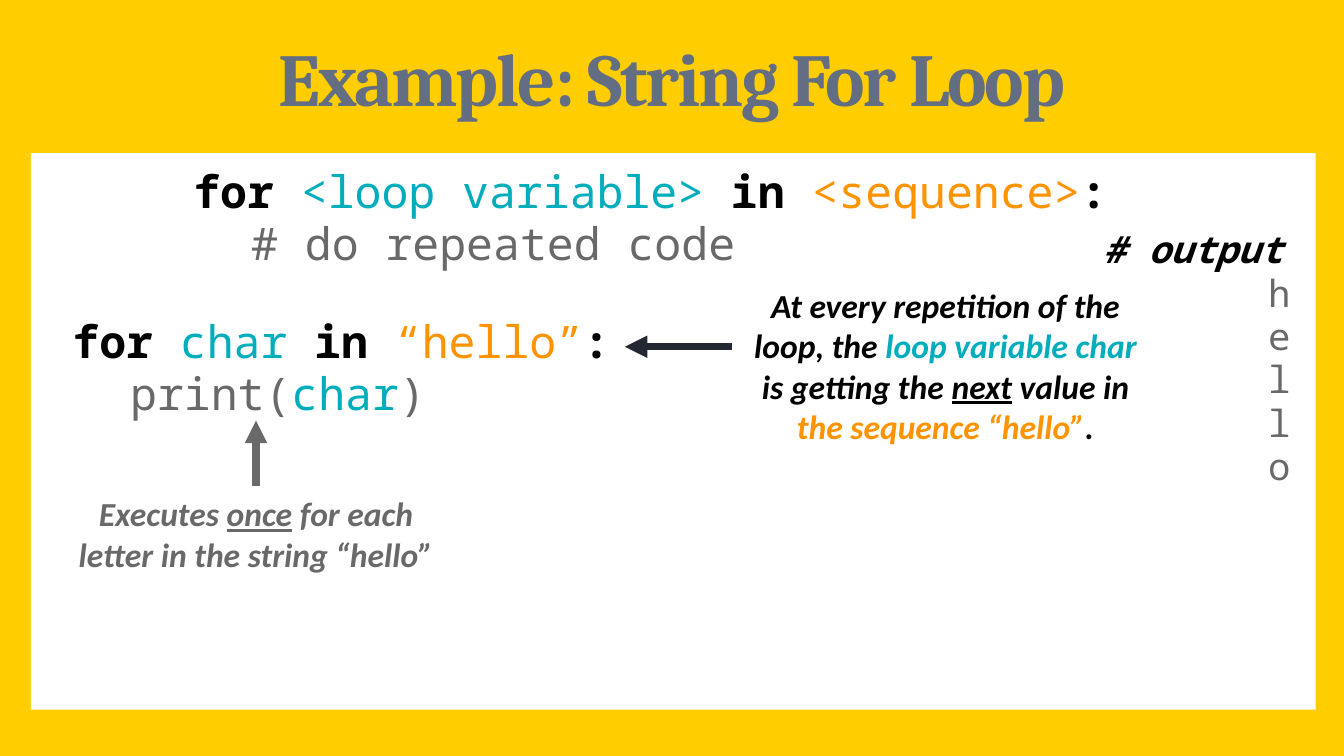
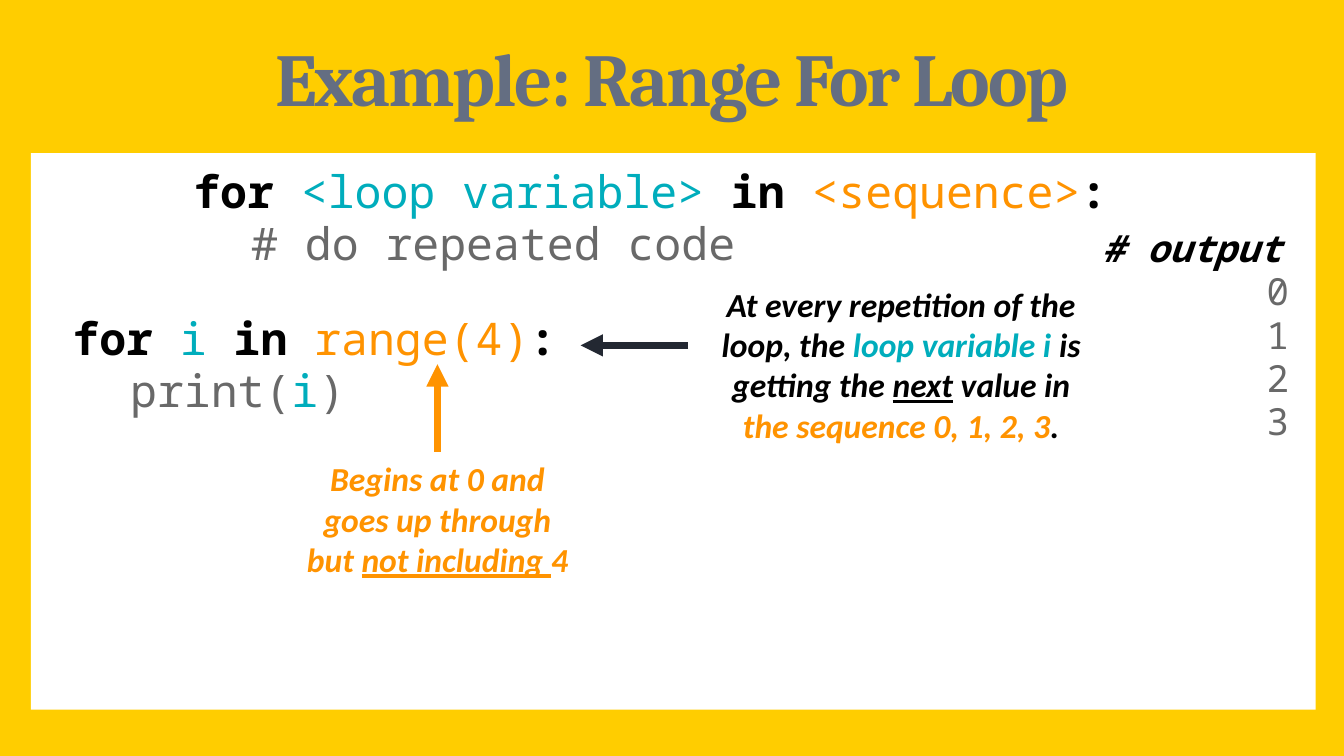
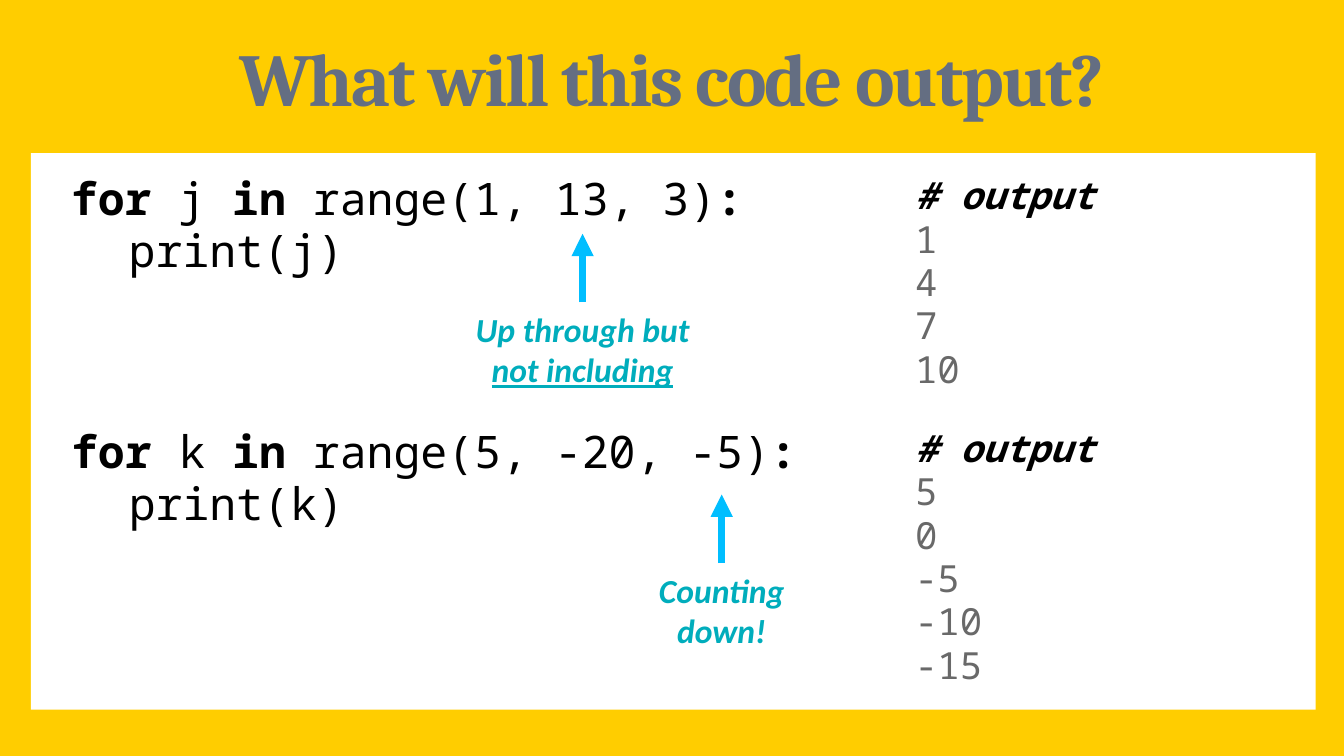
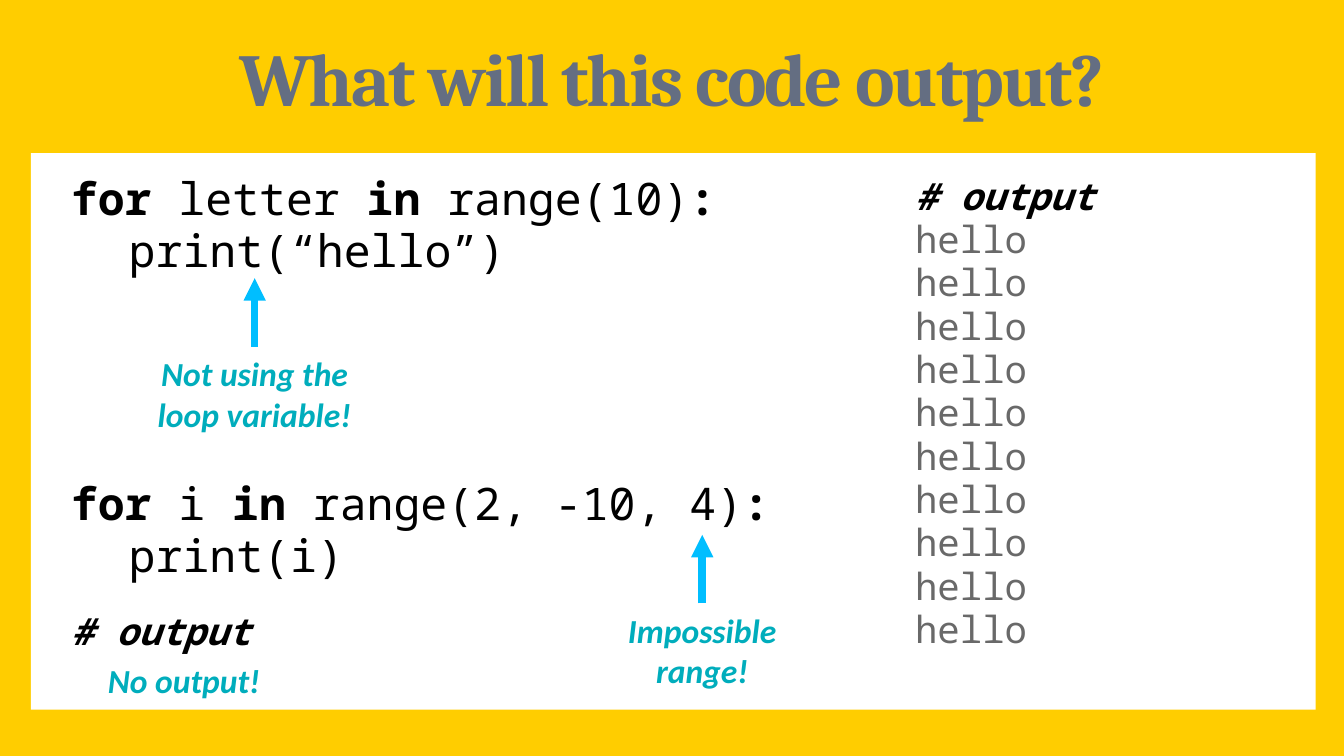
from dataclasses import dataclass

from lxml import etree
from pptx import Presentation
from pptx import util as u
from pptx.dml.color import RGBColor
from pptx.enum import shapes, text
from pptx.oxml import ns


@dataclass(frozen=True)
class Theme:
    yellow: str = "FFCD00"
    white: str = "FFFFFF"
    slate: str = "646E82"
    navy: str = "232832"
    black: str = "000000"
    gray: str = "696969"
    teal: str = "00ADBC"
    orange: str = "FF9300"
    sky: str = "00BEFF"
    title_font: str = "Cambria"
    code_font: str = "Noto Sans Mono"
    note_font: str = "Calibri"
    title_size: int = 40
    code_size: int = 24
    output_size: int = 20
    note_size: int = 18
    arrow_width: int = 4


T = Theme()
LEFT, CENTER, RIGHT = text.PP_ALIGN.LEFT, text.PP_ALIGN.CENTER, text.PP_ALIGN.RIGHT


def write(slide, box, lines, font, size, aligns):
    """Add a text box; each line is a list of (text, colour, flags) runs."""
    area = slide.shapes.add_textbox(*map(u.Inches, box))
    frame = area.text_frame
    frame.word_wrap = True
    is_code = font == T.code_font
    frame.auto_size = text.MSO_AUTO_SIZE.NONE if is_code else text.MSO_AUTO_SIZE.SHAPE_TO_FIT_TEXT
    for number, (line, align) in enumerate(zip(lines, aligns)):
        paragraph = frame.add_paragraph() if number else frame.paragraphs[0]
        paragraph.alignment = align
        if is_code:
            props = paragraph._p.get_or_add_pPr()
            props.set("marL", str(u.Inches(0.43)))
            props.set("indent", str(u.Inches(-0.43)))
            paragraph.line_spacing = 0.8
            if number:
                paragraph.space_before = u.Pt(0.2 * size)
        for words, color, flags in line:
            run = paragraph.add_run()
            run.text = words
            run.font.name, run.font.size = font, u.Pt(size)
            run.font.color.rgb = RGBColor.from_string(color)
            run.font.bold, run.font.italic = "b" in flags, "i" in flags
            if "u" in flags:
                run.font.underline = True
    return area


def point(slide, start, end, color):
    """Add an arrow from start to end, both in inches."""
    arrow = slide.shapes.add_connector(shapes.MSO_CONNECTOR.STRAIGHT, *map(u.Inches, start + end))
    arrow.line.color.rgb = RGBColor.from_string(color)
    arrow.line.width = u.Pt(T.arrow_width)
    etree.SubElement(arrow.line._get_or_add_ln(), ns.qn("a:tailEnd"), type="triangle")
    etree.SubElement(arrow._element.spPr, ns.qn("a:effectLst"))
    return arrow


# Content: syntax pattern shared by the two example slides
syntax = ((1.34, 1.25, 7.32, 1), [
    [("for ", T.black, "b"), ("<loop variable> ", T.teal, ""), ("in ", T.black, "b"),
     ("<sequence>", T.orange, ""), (":", T.black, "b")],
    [("\t", T.gray, ""), ("# do repeated code", T.gray, "")]])

# Example slides: loop variable, sequence, printed values and explanations
examples = [
    dict(title="Example: String For Loop", variable="char", sequence="“hello”",
         values="hello", code_top=2.36, output_at=(8.11, 1.7),
         step_at=(5.49, 2.07), steps="the sequence “hello”",
         remark=((0.44, 3.62, 2.93, 0.71), T.gray, 0.49,
                 [("Executes ", "bi"), ("once", "biu"),
                  (" for each letter in the string “hello”", "bi")])),
    dict(title="Example: Range For Loop", variable="i", sequence="range(4)",
         values="0123", code_top=2.34, output_at=(8.1, 1.69),
         step_at=(5.16, 2.06), steps="the sequence 0, 1, 2, 3",
         remark=((2.18, 3.36, 2.15, 1.01), T.orange, 0.65,
                 [("Begins at 0 and goes up through but ", "bi"),
                  ("not including ", "biu"), ("4", "bi")])),
]

# Quiz slides: loops as (top, width, variable, sequence, printed expression)
quizzes = [
    dict(loops=[(1.3, 5.47, "j", "range(1, 13, 3)", "j"),
                (3.18, 5.81, "k", "range(5, -20, -5)", "k")],
         outputs=[((6.71, 1.3, 1.59, 1.77), ["1", "4", "7", "10"]),
                  ((6.71, 3.18, 1.59, 2.09), ["5", "0", "-5", "-10", "-15"])],
         hints=[((4.74, 4.19, 1.26, 0.71), [("Counting down!", "bi")], True),
                ((3.4, 2.25, 1.87, 0.71),
                 [("Up through but ", "bi"), ("not including", "biu")], True)]),
    dict(loops=[(1.3, 5.47, "letter", "range(10)", "“hello”"),
                (3.57, 5.47, "i", "range(2, -10, 4)", "i")],
         outputs=[((6.71, 1.3, 1.59, 3.71), ["hello"] * 10),
                  ((0.43, 4.54, 1.59, 0.5), [])],
         hints=[((0.91, 2.58, 1.97, 0.71), [("Not using the loop variable!", "bi")], True),
                ((4.24, 4.49, 1.97, 0.71), [("Impossible range!", "bi")], True),
                ((0.22, 4.86, 2.3, 0.4), [("No output!", "bi")], False)]),
]

# Shared layout: 16:9 page, yellow background and title position
deck = Presentation()
deck.slide_width = u.Inches(10)
deck.slide_height = deck.slide_width * 9 // 16
layout = deck.slide_layouts[5]
layout.background.fill.solid()
layout.background.fill.fore_color.rgb = RGBColor.from_string(T.yellow)
heading = layout.placeholders[0]
heading.left, heading.top = u.Inches(0.22), u.Inches(0.24)
heading.width, heading.height = u.Inches(9.56), u.Inches(0.74)

# Slides with their titles
titles = [example["title"] for example in examples] + ["What will this code output?"] * len(quizzes)
slides = []
for title in titles:
    slide = deck.slides.add_slide(layout)
    slides.append(slide)
    frame = slide.shapes.title.text_frame
    frame.auto_size = text.MSO_AUTO_SIZE.NONE
    frame.vertical_anchor = text.MSO_ANCHOR.MIDDLE
    frame.margin_left = frame.margin_right = u.Inches(0.12)
    frame.margin_top = frame.margin_bottom = u.Inches(0.07)
    paragraph = frame.paragraphs[0]
    paragraph.alignment, paragraph.line_spacing = CENTER, 0.9
    run = paragraph.add_run()
    run.text = title
    run.font.name, run.font.size, run.font.bold = T.title_font, u.Pt(T.title_size), True
    run.font.color.rgb = RGBColor.from_string(T.slate)
    run._r.get_or_add_rPr().set("spc", "-110")

# White panel, moved to the layout so every slide shows it
panel = slides[0].shapes.add_shape(
    shapes.MSO_SHAPE.RECTANGLE, *map(u.Inches, (0.23, 1.14, 9.56, 4.14)))
panel.shadow.inherit = False
panel.fill.solid()
panel.fill.fore_color.rgb = RGBColor.from_string(T.white)
panel.line.fill.background()
layout.shapes.element.insert(2, panel.element)

output_header = [("# output", T.black, "bi")]

# Example slides
for slide, example in zip(slides, examples):
    variable = example["variable"]
    code = [[("for ", T.black, "b"), (variable + " ", T.teal, ""), ("in ", T.black, "b"),
             (example["sequence"], T.orange, ""), (":", T.black, "b")],
            [("\t", T.gray, ""), ("print(", T.gray, ""), (variable, T.teal, ""), (")", T.gray, "")]]
    for box, lines in [((0.44, example["code_top"], 4.79, 1), code), syntax]:
        write(slide, box, lines, T.code_font, T.code_size, [LEFT] * 2)

    values = [[(value, T.gray, "")] for value in example["values"]]
    write(slide, example["output_at"] + (1.59, 2.1), [output_header] + values,
          T.code_font, T.output_size, [LEFT] + [RIGHT] * len(values))

    step = [("At every repetition of the loop, the ", T.black, "bi"),
            (f"loop variable {variable} ", T.teal, "bi"), ("is getting the ", T.black, "bi"),
            ("next", T.black, "biu"), (" value in ", T.black, "bi"),
            (example["steps"], T.orange, "bi"), (".", T.black, "bi")]
    left, top = example["step_at"]
    write(slide, (left, top, 3.09, 1.31), [step], T.note_font, T.note_size, [CENTER])
    point(slide, (left - 0.04, top + 0.51), (left - 0.84, top + 0.51), T.navy)

    box, color, reach, words = example["remark"]
    remark = write(slide, box, [[(part, color, flags) for part, flags in words]],
                   T.note_font, T.note_size, [CENTER])
    middle = box[0] + box[2] / 2
    arrow = point(slide, (middle, box[1]), (middle, box[1] - reach), color)
    arrow.begin_connect(remark, 0)

# Quiz slides
for slide, quiz in zip(slides[len(examples):], quizzes):
    for top, width, variable, sequence, printed in quiz["loops"]:
        code = [[("for", T.black, "b"), (f" {variable} ", T.black, ""), ("in ", T.black, "b"),
                 (sequence, T.black, ""), (":", T.black, "b")],
                [(f"\tprint({printed})", T.black, "")]]
        write(slide, (0.43, top, width, 1), code, T.code_font, T.code_size, [LEFT] * 2)

    for box, values in quiz["outputs"]:
        lines = [output_header] + [[(value, T.gray, "")] for value in values]
        write(slide, box, lines, T.code_font, T.output_size, [LEFT] * len(lines))

    for box, words, has_arrow in quiz["hints"]:
        hint = write(slide, box, [[(part, T.teal, flags) for part, flags in words]],
                     T.note_font, T.note_size, [CENTER])
        if has_arrow:
            middle = box[0] + box[2] / 2
            arrow = point(slide, (middle, box[1]), (middle, box[1] - 0.51), T.sky)
            arrow.begin_connect(hint, 0)

deck.save("out.pptx")
